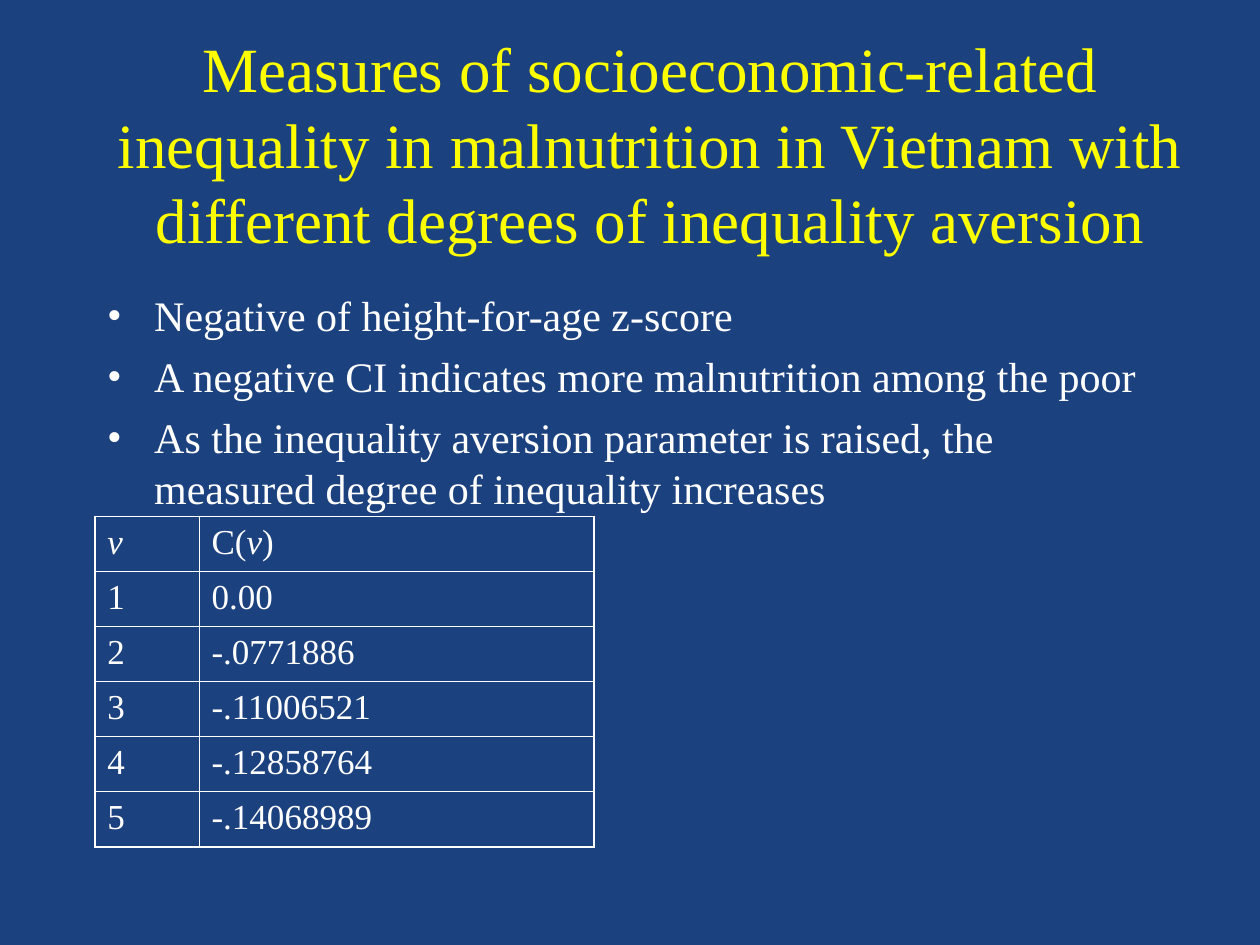
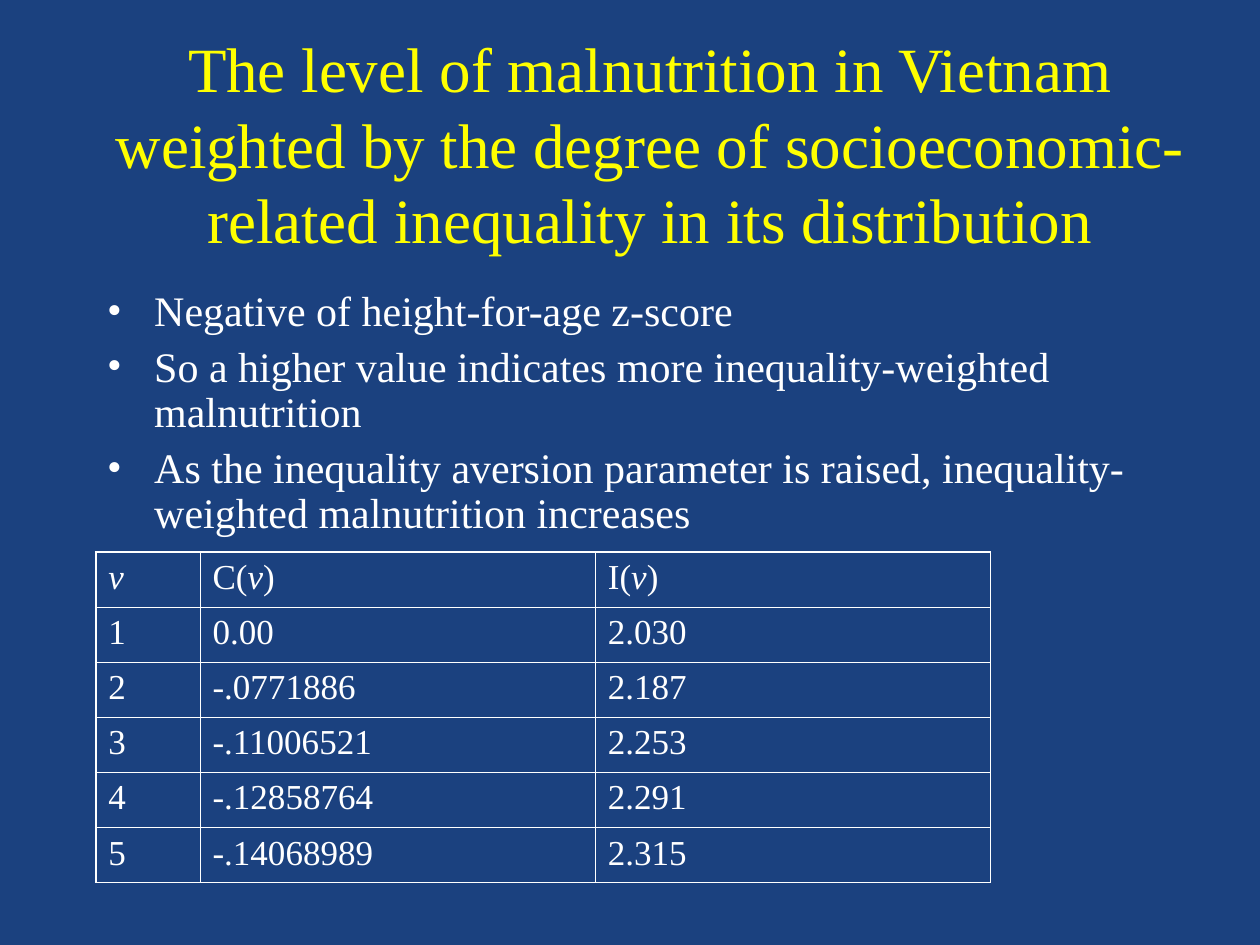
from lxml.etree import SubElement
from pptx import Presentation
from pptx.dml.color import RGBColor
from pptx.enum.text import MSO_ANCHOR, PP_ALIGN
from pptx.oxml import parse_xml
from pptx.oxml.ns import nsdecls, qn
from pptx.util import Cm, Pt

BACKGROUND, YELLOW, WHITE = "1B417F", "FFFF00", "FFFFFF"
FONT = "Times New Roman"
THIN, THICK = Pt(0.45), Pt(1.08)


def rgb(value):
    return RGBColor.from_string(value)


def apply(target, values):
    for name, value in values.items():
        setattr(target, name, value)


class Deck:
    title_format = {"size": Pt(36), "name": FONT}
    body_format = {"size": Pt(24), "name": FONT}
    cell_format = {"size": Pt(20), "name": FONT}

    def __init__(self):
        self.prs = Presentation()
        apply(self.prs, {"slide_width": Cm(25.4), "slide_height": Cm(19.05)})
        self.s = None

    def slide(self):
        self.s = self.prs.slides.add_slide(self.prs.slide_layouts[6])
        fill = self.s.background.fill
        fill.solid()
        fill.fore_color.rgb = rgb(BACKGROUND)

    def box(self, left, top, width, height, anchor):
        sp = self.s.shapes.add_textbox(Cm(left), Cm(top), Cm(width), Cm(height))
        tf = sp.text_frame
        apply(tf, {"word_wrap": True, "vertical_anchor": anchor})
        return tf

    def run(self, p, text, font_format, color=WHITE, italic=False):
        r = p.add_run()
        r.text = text
        apply(r.font, {**font_format, "italic": italic})
        r.font.color.rgb = rgb(color)

    def title(self, text):
        p = self.box(1.93, 0.69, 22.35, 4.39, MSO_ANCHOR.MIDDLE).paragraphs[0]
        p.alignment = PP_ALIGN.CENTER
        self.run(p, text, self.title_format, YELLOW)

    def bullets(self, texts, line_spacing):
        tf = self.box(1.91, 5.72, 21.41, 5.31, MSO_ANCHOR.TOP)
        for i, text in enumerate(texts):
            p = tf.add_paragraph() if i else tf.paragraphs[0]
            apply(p, {"space_before": Pt(6), "line_spacing": line_spacing})
            pPr = p._p.get_or_add_pPr()
            pPr.set("marL", str(Cm(0.95)))
            pPr.set("indent", str(-Cm(0.95)))
            color = SubElement(pPr, qn("a:buClr"))
            SubElement(color, qn("a:srgbClr"), val=WHITE)
            SubElement(pPr, qn("a:buFont"), typeface=FONT)
            SubElement(pPr, qn("a:buChar"), char="•")
            self.run(p, text, self.body_format)

    def borders(self, cell, outer_sides):
        tcPr = cell._tc.get_or_add_tcPr()
        for i, (side, outer) in enumerate(outer_sides.items()):
            width = THICK if outer else THIN
            tcPr.insert(i, parse_xml(
                f'<a:ln{side} {nsdecls("a")} w="{width}"><a:solidFill>'
                f'<a:srgbClr val="{WHITE}"/></a:solidFill></a:ln{side}>'))

    def cell(self, cell, text):
        cell.fill.background()
        p = cell.text_frame.paragraphs[0]
        p.space_before = Pt(5)
        for part in text.partition("v"):
            if part:
                self.run(p, part, self.cell_format, italic=part == "v")

    def table(self, left, top, columns):
        rows = list(zip(*columns))
        widths = [2.1] + [7.97] * (len(columns) - 1)
        row_height = 1.11
        frame = self.s.shapes.add_table(
            len(rows), len(widths), Cm(left), Cm(top),
            Cm(sum(widths)), Cm(row_height * len(rows)))
        table = frame.table
        apply(table, {"first_row": False, "horz_banding": False})
        for column, width in zip(table.columns, widths):
            column.width = Cm(width)
        for i, texts in enumerate(rows):
            table.rows[i].height = Cm(row_height)
            for j, text in enumerate(texts):
                cell = table.cell(i, j)
                self.cell(cell, text)
                self.borders(cell, {"L": j == 0, "R": j == len(widths) - 1,
                                    "T": i == 0, "B": i == len(rows) - 1})


def main():
    aversion = ["v", "1", "2", "3", "4", "5"]
    concentration = ["C(v)", "0.00", "-.0771886", "-.11006521",
                     "-.12858764", "-.14068989"]
    weighted_level = ["I(v)", "2.030", "2.187", "2.253", "2.291", "2.315"]
    measure = "Negative of height-for-age z-score"

    deck = Deck()
    deck.slide()
    deck.title("Measures of socioeconomic-related inequality in malnutrition "
               "in Vietnam with different degrees of inequality aversion")
    deck.bullets([
        measure,
        "A negative CI indicates more malnutrition among the poor",
        "As the inequality aversion parameter is raised, the measured degree "
        "of inequality increases"], 1.0)
    deck.table(1.91, 10.41, [aversion, concentration])

    deck.slide()
    deck.title("The level of malnutrition in Vietnam weighted by the degree "
               "of socioeconomic-related inequality in its distribution")
    deck.bullets([
        measure,
        "So a higher value indicates more inequality-weighted malnutrition",
        "As the inequality aversion parameter is raised, inequality-weighted "
        "malnutrition increases"], 0.9)
    deck.table(1.93, 11.13, [aversion, concentration, weighted_level])

    deck.prs.save("out.pptx")


if __name__ == "__main__":
    main()
